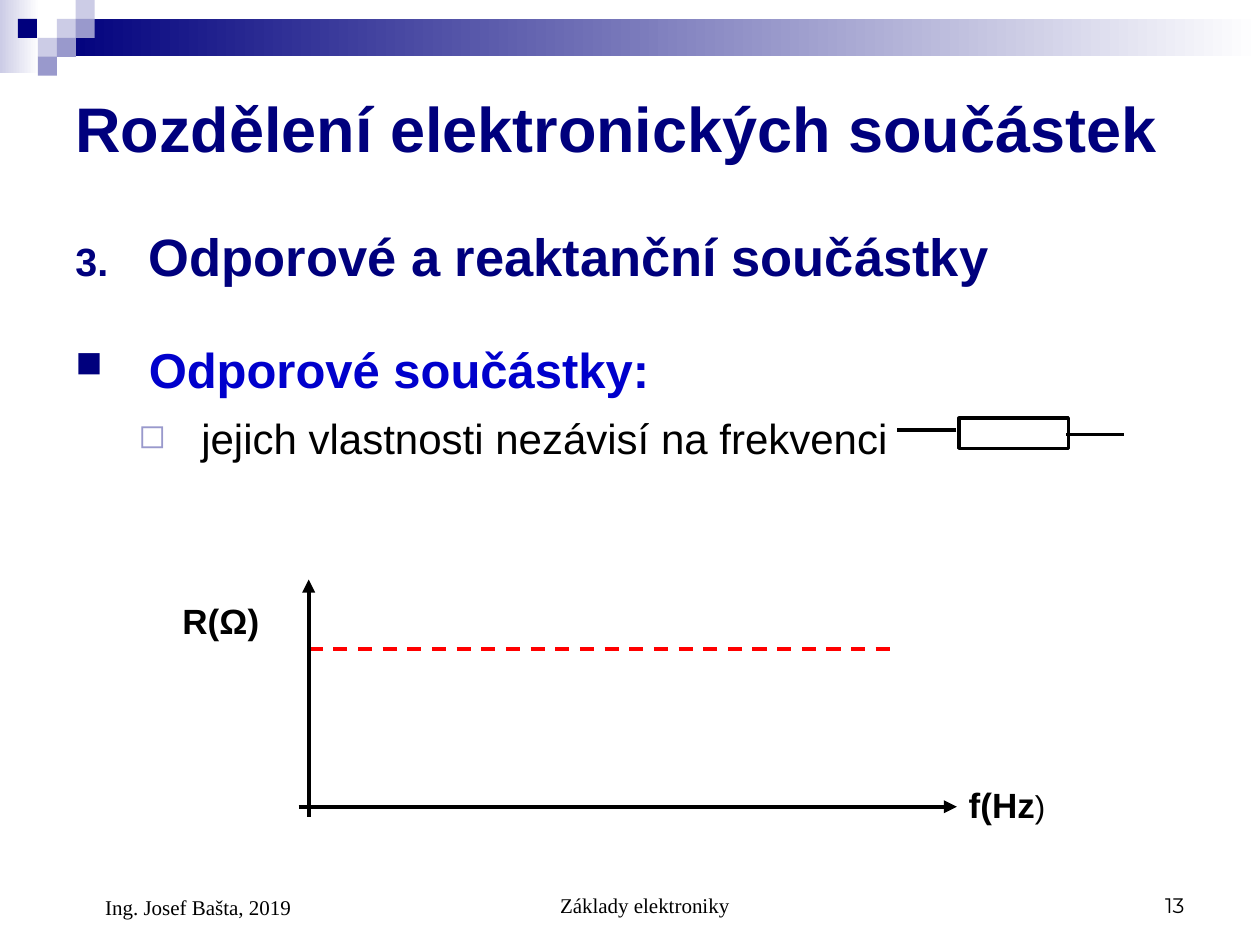
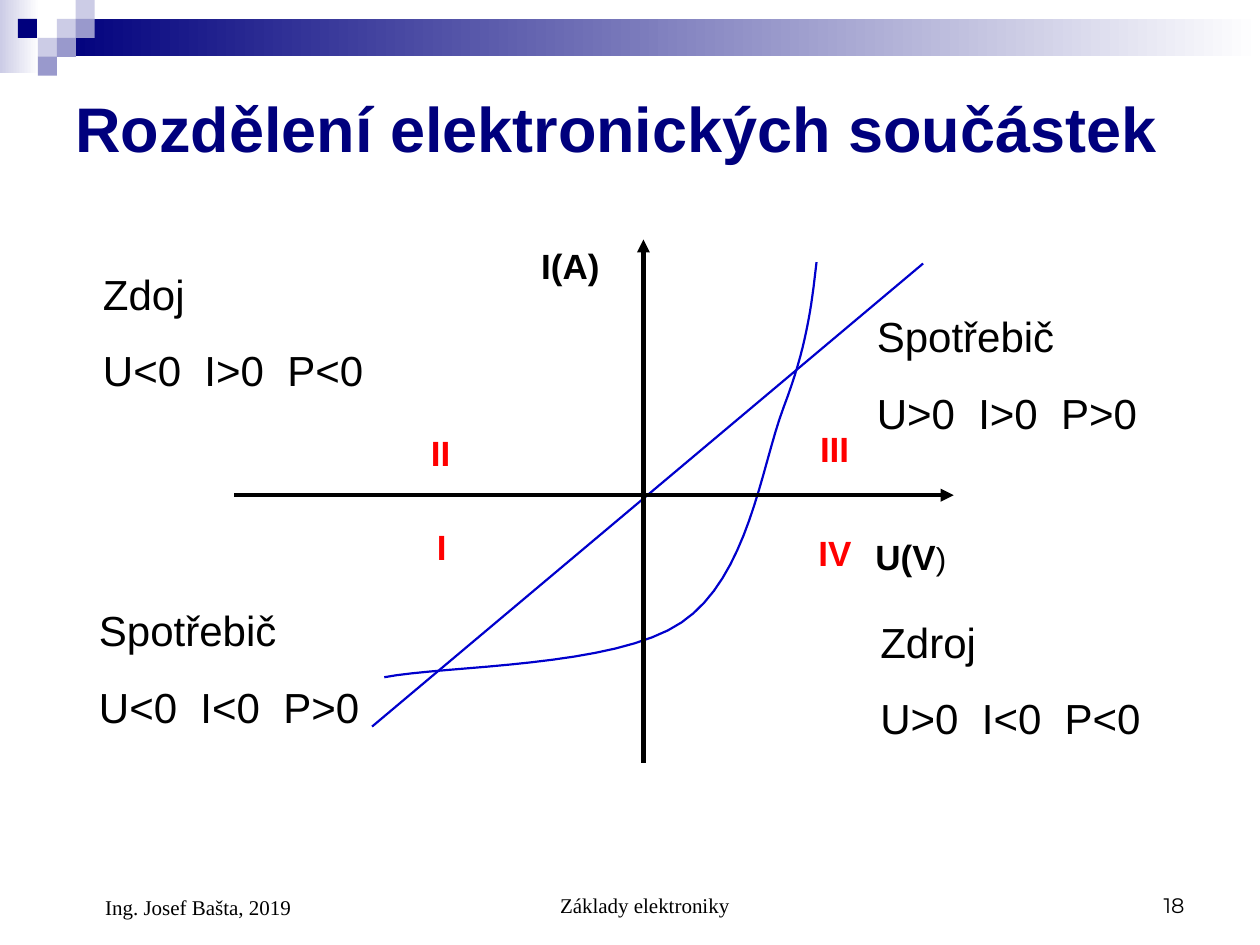
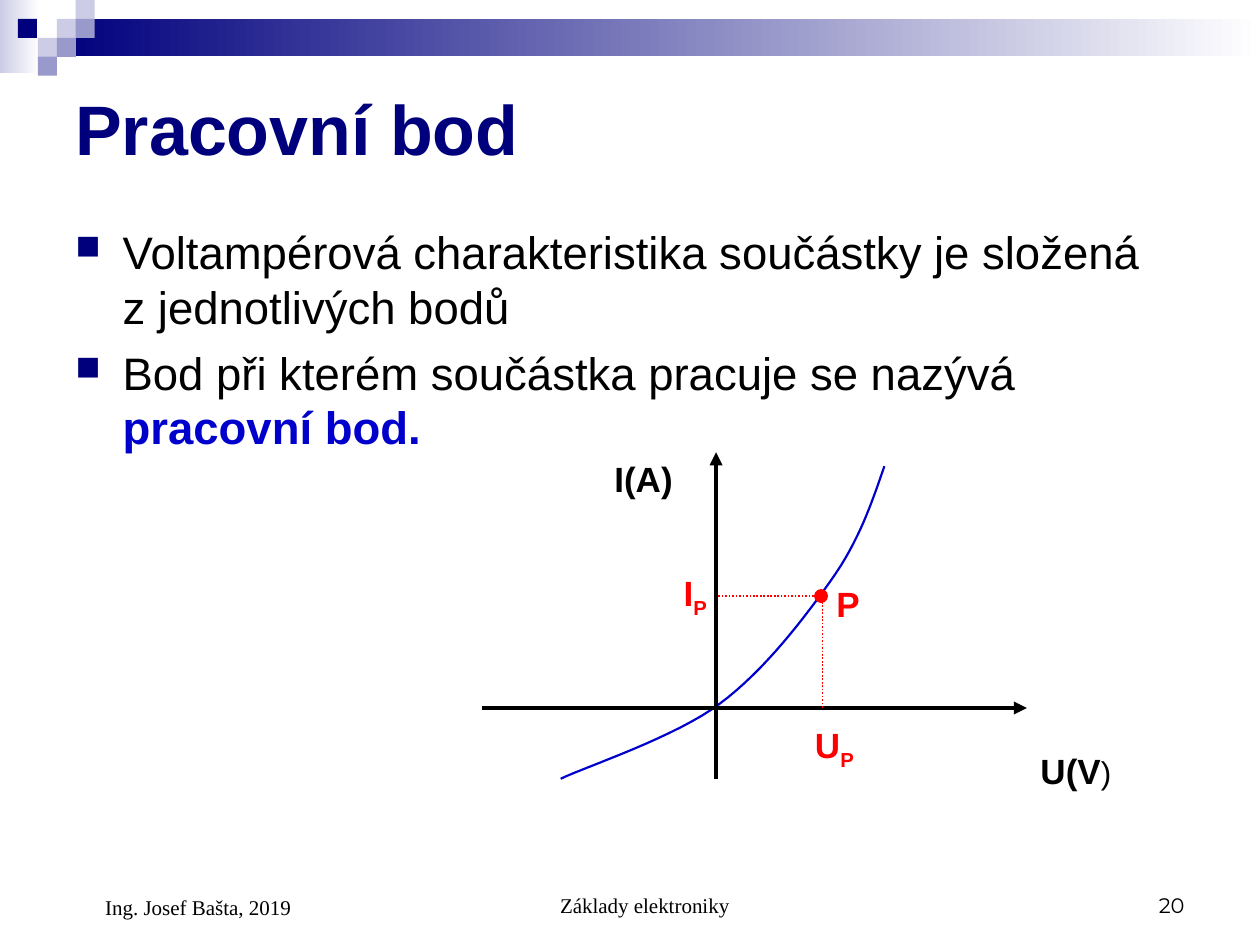
from lxml.etree import SubElement
from pptx import Presentation
from pptx.dml.color import RGBColor
from pptx.enum.dml import MSO_LINE
from pptx.enum.shapes import MSO_CONNECTOR, MSO_SHAPE
from pptx.enum.text import MSO_ANCHOR as ANCHOR, PP_ALIGN as ALIGN
from pptx.oxml.ns import qn
from pptx.util import Pt

NAVY = RGBColor(0x00, 0x00, 0x7D)
BLUE = RGBColor(0x00, 0x00, 0xCC)
LAVENDER = RGBColor(0xCC, 0xCC, 0xE6)
VIOLET = RGBColor(0x99, 0x99, 0xCC)
RED = RGBColor(0xFF, 0x00, 0x00)
BLACK = RGBColor(0x00, 0x00, 0x00)
WHITE = RGBColor(0xFF, 0xFF, 0xFF)

BASE = {"name": "Arial", "size": Pt(24), "bold": False, "color": BLACK}
TITLE = {"size": Pt(36), "bold": True, "color": NAVY}
LABEL = {"size": Pt(20), "bold": True}
LABEL_END = {"size": Pt(18)}
RED_LABEL = {**LABEL, "color": RED}
SUBSCRIPT = {**RED_LABEL, "baseline": "-25000"}
BODY = {"size": Pt(26)}
FOOTER = {"name": "Times New Roman", "size": Pt(12)}
PAGE_NUMBER = {"name": "Montserrat", "size": Pt(12)}
SQUARE_BULLET = ("buChar", {"char": "■"}, NAVY, 75)
HOLLOW_BULLET = ("buChar", {"char": "◻"}, VIOLET, 80)
NUMBER_THREE = ("buAutoNum", {"type": "arabicPeriod", "startAt": "3"}, NAVY, 75)


def add_text(slide, box, paragraphs, anchor=ANCHOR.TOP):
    frame = slide.shapes.add_textbox(*map(Pt, box)).text_frame
    frame.word_wrap = True
    frame.vertical_anchor = anchor
    for index, (layout, runs) in enumerate(paragraphs):
        paragraph = frame.add_paragraph() if index else frame.paragraphs[0]
        paragraph.alignment = layout.get("align", ALIGN.LEFT)
        paragraph.space_before = Pt(layout.get("before", 0))
        properties = paragraph._p.get_or_add_pPr()
        margin, first_line = layout.get("indent", (0, 0))
        properties.set("marL", str(Pt(margin)))
        properties.set("indent", str(Pt(first_line)))
        if "bullet" in layout:
            tag, attributes, color, percent = layout["bullet"]
            bullet_color = SubElement(properties, qn("a:buClr"))
            SubElement(bullet_color, qn("a:srgbClr"), val=str(color))
            SubElement(properties, qn("a:buSzPct"), val=str(percent * 1000))
            SubElement(properties, qn("a:" + tag), **attributes)
        for text, style in runs:
            if text == "\n":
                paragraph.add_line_break()
                continue
            run = paragraph.add_run()
            run.text = text
            for attribute, value in {**BASE, **style}.items():
                if attribute == "color":
                    run.font.color.rgb = value
                elif attribute == "baseline":
                    run._r.get_or_add_rPr().set("baseline", value)
                else:
                    setattr(run.font, attribute, value)


def add_line(slide, start, end, color, width, dash=None, arrow=False):
    connector = slide.shapes.add_connector(MSO_CONNECTOR.STRAIGHT, *map(Pt, start + end))
    connector.line.color.rgb = color
    connector.line.width = Pt(width)
    connector.line.dash_style = dash
    if arrow:
        SubElement(connector.line._get_or_add_ln(), qn("a:tailEnd"), type="triangle")
    SubElement(connector._element.spPr, qn("a:effectLst"))


presentation = Presentation()
presentation.slide_width = Pt(720)
presentation.slide_height = Pt(540)

BANDS = [
    ((0, 0, 22.5, 42), [LAVENDER, WHITE]),
    ((32.5, 10.8, 687.5, 21.5), [NAVY, WHITE]),
]
TILES = [
    (32.5, 10.8, LAVENDER),
    (43.2, 0, LAVENDER),
    (43.2, 10.8, VIOLET),
    (21.6, 21.6, LAVENDER),
    (10.2, 10.8, NAVY),
    (32.5, 21.6, VIOLET),
    (21.6, 32.4, VIOLET),
]
TILE_SIZE = 10.9
bands = BANDS + [((x, y, TILE_SIZE, TILE_SIZE), [color]) for x, y, color in TILES]

slides = []
for title, title_size, page in [
    ("Rozdělení elektronických součástek", 36, "13"),
    ("Rozdělení elektronických součástek", 36, "18"),
    ("Pracovní bod", 40, "20"),
]:
    slide = presentation.slides.add_slide(presentation.slide_layouts[6])
    slides.append(slide)
    for box, colors in bands:
        shape = slide.shapes.add_shape(MSO_SHAPE.RECTANGLE, *map(Pt, box))
        shape.shadow.inherit = False
        shape.line.fill.background()
        if len(colors) == 1:
            shape.fill.solid()
            shape.fill.fore_color.rgb = colors[0]
        else:
            shape.fill.gradient()
            shape.fill.gradient_angle = 0
            for stop, position, color in zip(shape.fill.gradient_stops, (0, 1), colors):
                stop.position = position
                stop.color.rgb = color
    add_text(slide, (36, 36, 648, 74), [({}, [(title, {**TITLE, "size": Pt(title_size)})])], ANCHOR.MIDDLE)
    for box, layout, text, style in [
        ((246, 491.8, 228, 36), {"align": ALIGN.CENTER, "indent": (17, 0)}, "Základy elektroniky", FOOTER),
        ((516, 491.8, 168, 36), {"align": ALIGN.RIGHT}, page, PAGE_NUMBER),
        ((36, 491.8, 168, 37.5), {"indent": (17, 0)}, "Ing. Josef Bašta, 2019", FOOTER),
    ]:
        add_text(slide, box, [(layout, [(text, style)])], ANCHOR.BOTTOM)

resistance, quadrants, working_point = slides
BODY_BOX = (36, 124.5, 648, 351)

add_text(resistance, BODY_BOX, [
    ({"indent": (42, -42), "before": 7.5, "bullet": NUMBER_THREE},
     [("Odporové a reaktanční součástky", {**TITLE, "size": Pt(30)})]),
    ({"indent": (42, -42), "before": 30, "bullet": SQUARE_BULLET},
     [("Odporové součástky:", {"size": Pt(28), "bold": True, "color": BLUE})]),
    ({"indent": (72, -36), "before": 8.3, "bullet": HOLLOW_BULLET},
     [("jejich vlastnosti nezávisí na frekvenci", {})]),
])

item = {"indent": (27, -27), "before": 6.5, "bullet": SQUARE_BULLET}
add_text(working_point, BODY_BOX, [
    (item, [("Voltampérová charakteristika součástky je složená ", BODY), ("\n", BODY),
            ("z jednotlivých bodů", BODY)]),
    (item, [("Bod při kterém součástka pracuje se nazývá ", BODY),
            ("pracovní bod.", {**BODY, "bold": True, "color": BLUE})]),
])

resistor = resistance.shapes.add_shape(MSO_SHAPE.RECTANGLE, Pt(548), Pt(239), Pt(62.5), Pt(17.2))
resistor.shadow.inherit = False
resistor.fill.background()
resistor.line.color.rgb = BLACK
resistor.line.width = Pt(2)
add_line(resistance, (642.2, 248.2), (609, 248.2), BLACK, 2)
add_line(resistance, (546.5, 245.6), (512.8, 245.6), BLACK, 2)
add_line(resistance, (176.4, 371), (512.8, 371), RED, 2, MSO_LINE.DASH)

CURVE_STEPS = 16
for slide, start, segments in [
    (quadrants, (466.6, 149.8), [
        ((463.7, 175.7), (460.8, 198.7), (447.8, 232.8)),
        ((434.9, 267), (427.7, 329.8), (389.5, 355.7)),
        ((351.4, 381.6), (254.9, 380.2), (219.6, 387)),
    ]),
    (working_point, (505.4, 266.4), [
        ((498.2, 287.3), (491, 308.9), (475.2, 331.2)),
        ((459.4, 353.5), (437, 383), (411.5, 402)),
        ((386, 421.2), (335.5, 437.8), (320.4, 445)),
    ]),
]:
    points = [start]
    for control_a, control_b, end in segments:
        corners = list(zip(points[-1], control_a, control_b, end))
        for step in range(1, CURVE_STEPS + 1):
            t = step / CURVE_STEPS
            points.append(tuple(
                a * (1 - t) ** 3 + 3 * b * t * (1 - t) ** 2 + 3 * c * t * t * (1 - t) + d * t ** 3
                for a, b, c, d in corners
            ))
    points = [(Pt(x), Pt(y)) for x, y in points]
    builder = slide.shapes.build_freeform(*points[0])
    builder.add_line_segments(points[1:], close=False)
    curve = builder.convert_to_shape()
    curve.shadow.inherit = False
    curve.fill.background()
    curve.line.color.rgb = BLUE
    curve.line.width = Pt(1.25)
add_line(quadrants, (212.6, 415.2), (527.5, 150.6), BLUE, 1.25)

for slide, left, right, axis_y, axis_x, bottom, top in [
    (resistance, 170.6, 546.8, 461, 176.4, 466.8, 331.2),
    (quadrants, 133.8, 545, 283, 367.7, 436, 136.8),
    (working_point, 275.2, 586.8, 404.6, 409.2, 445, 258.4),
]:
    add_line(slide, (left, axis_y), (right, axis_y), BLACK, 2.5, arrow=True)
    add_line(slide, (axis_x, bottom), (axis_x, top), BLACK, 2.5, arrow=True)

add_line(working_point, (470, 340), (470, 404.6), RED, 1, MSO_LINE.ROUND_DOT)
add_line(working_point, (465, 340.8), (409.7, 340.8), RED, 1, MSO_LINE.ROUND_DOT)
dot = working_point.shapes.add_shape(MSO_SHAPE.OVAL, Pt(465.6), Pt(337), Pt(7.2), Pt(7.2))
dot.shadow.inherit = False
dot.fill.solid()
dot.fill.fore_color.rgb = RED
dot.line.color.rgb = RED
dot.line.width = Pt(0.75)

for slide, x, y, width, runs in [
    (resistance, 546.5, 444.2, 67, [("f(Hz", LABEL), (")", LABEL_END)]),
    (resistance, 97.2, 339.2, 69, [("R(Ω)", LABEL)]),
    (quadrants, 493.2, 302.4, 67, [("U(V", LABEL), (")", LABEL_END)]),
    (quadrants, 302.2, 136, 69, [("I(A)", LABEL)]),
    (quadrants, 461.5, 240.5, 32.5, [("III", RED_LABEL)]),
    (quadrants, 460.6, 300.4, 39, [("IV", RED_LABEL)]),
    (quadrants, 242.6, 296.8, 32.5, [("I", RED_LABEL)]),
    (quadrants, 239.2, 242.8, 32.5, [("II", RED_LABEL)]),
    (working_point, 587.5, 425, 67, [("U(V", LABEL), (")", LABEL_END)]),
    (working_point, 344, 257.6, 69, [("I(A)", LABEL)]),
    (working_point, 383.6, 323.2, 32.5, [("I", RED_LABEL), ("P", SUBSCRIPT)]),
    (working_point, 458.6, 409.8, 39.6, [("U", RED_LABEL), ("P", SUBSCRIPT)]),
    (working_point, 470.8, 329.2, 32.5, [("P", RED_LABEL)]),
]:
    before = 11.2 if len(runs) == 2 and runs[1][1] is LABEL_END else 12.5
    add_text(slide, (x, y, width, 31.5), [({"before": before}, runs)])

for x, y, role, signs in [
    (494, 174.2, "Spotřebič", "U>0  I>0  P>0"),
    (496, 348.5, "Zdroj", "U>0  I<0  P<0"),
    (49.5, 342, "Spotřebič", "U<0  I<0  P>0"),
    (51.8, 149.8, "Zdoj", "U<0  I>0  P<0"),
]:
    add_text(quadrants, (x, y, 172, 80), [({"before": 15}, [(text, {})]) for text in (role, signs)])

presentation.save("out.pptx")
